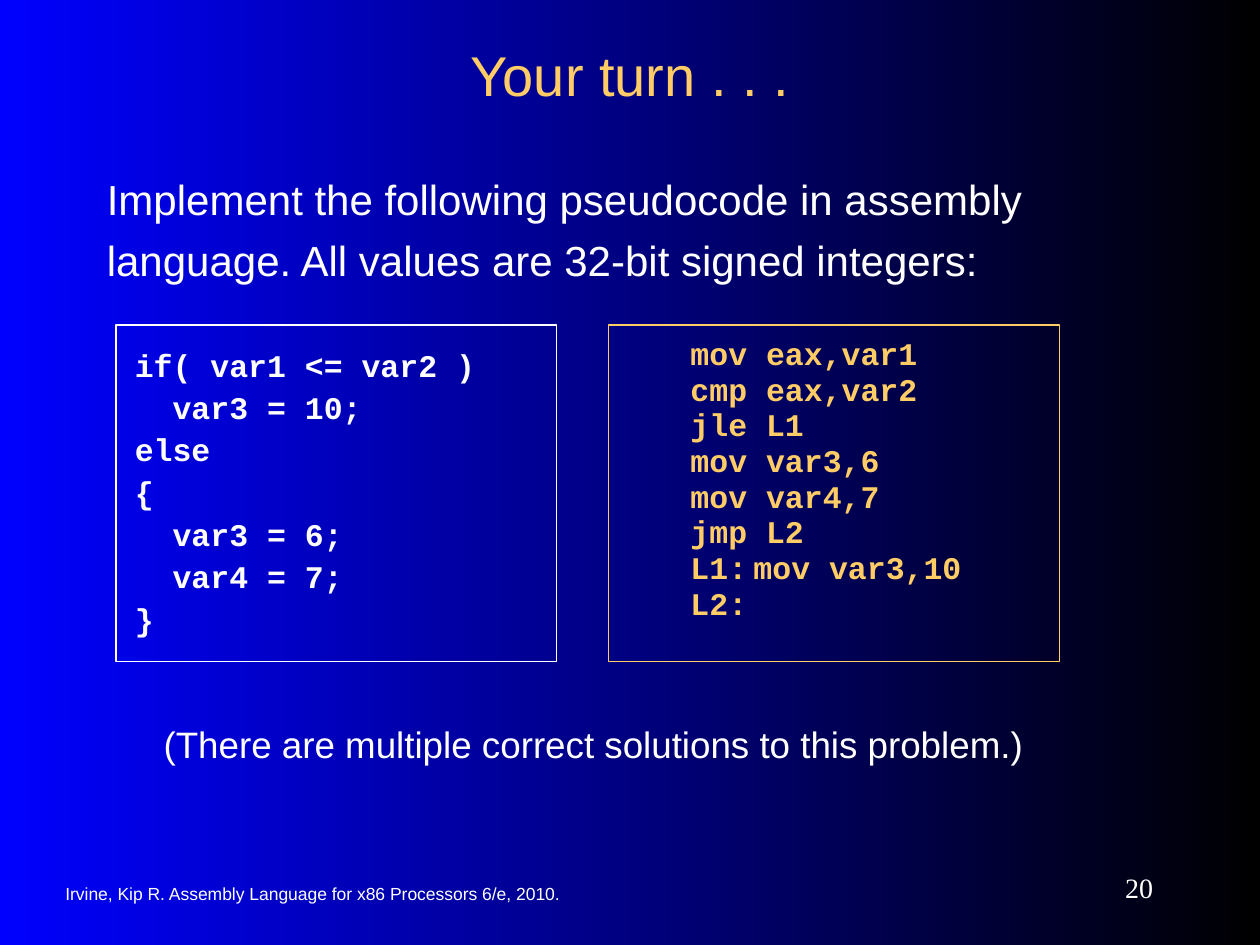
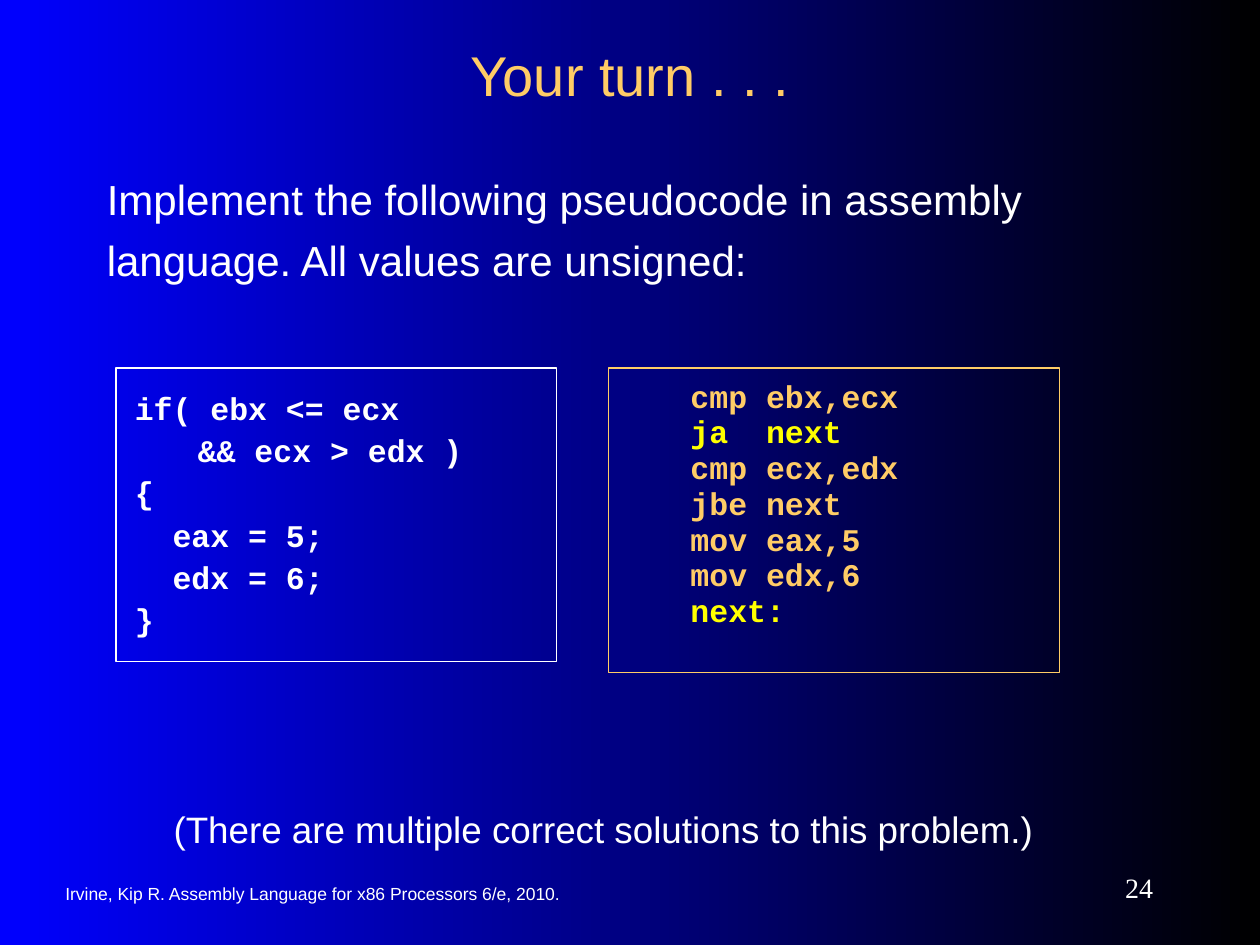
from lxml import etree
from pptx import Presentation
from pptx.dml.color import RGBColor
from pptx.enum.shapes import MSO_SHAPE
from pptx.enum.text import MSO_ANCHOR as ANCHOR, MSO_AUTO_SIZE as AUTO, PP_ALIGN as ALIGN
from pptx.oxml.ns import qn
from pptx.util import Inches, Pt

BLUE = RGBColor(0x00, 0x00, 0xFF)
BLACK = RGBColor(0x00, 0x00, 0x00)
WHITE = RGBColor(0xFF, 0xFF, 0xFF)
GOLD = RGBColor(0xFF, 0xCC, 0x66)
YELLOW = RGBColor(0xFF, 0xFF, 0x00)
FOOTER = "Irvine, Kip R. Assembly Language for x86 Processors 6/e, 2010."
NOTE = "(There are multiple correct solutions to this problem.)"
TASK = "Implement the following pseudocode in assembly language. All values are "

SLIDES = [
    {
        "number": "20",
        "values": "32-bit signed integers:",
        "top": 2.58, "pseudo_height": 2.67, "asm_height": 2.67,
        "note_at": (0.75, 5.58),
        "pseudo": ["if( var1 <= var2 )", "  var3 = 10;", "else", "{",
                   "  var3 = 6;", "  var4 = 7;", "}"],
        "asm": ["mov eax,var1", "cmp eax,var2", "jle L1", "mov var3,6",
                "mov var4,7", "jmp L2", "L1:\tmov var3,10", "L2:"],
        "marked": [],
    },
    {
        "number": "24",
        "values": "unsigned:",
        "top": 2.92, "pseudo_height": 2.33, "asm_height": 2.42,
        "note_at": (0.83, 6.25),
        "pseudo": ["if( ebx <= ecx", "\t&& ecx > edx )", "{",
                   "  eax = 5;", "  edx = 6;", "}"],
        "asm": ["cmp ebx,ecx", "ja  next", "cmp ecx,edx", "jbe next",
                "mov eax,5", "mov edx,6", "next:"],
        "marked": ["ja  next", "next:"],
    },
]


def write(sp, lines, size, color, font="Arial", align=ALIGN.LEFT, anchor=ANCHOR.TOP,
          inset=(0.1, 0.05), spacing=1.0, before=0, bold=False):
    tf = sp.text_frame
    tf.word_wrap = True
    tf.auto_size = AUTO.NONE
    tf.vertical_anchor = anchor
    tf.margin_left = tf.margin_right = Inches(inset[0])
    tf.margin_top = tf.margin_bottom = Inches(inset[1])
    tf.text = "\n".join(lines)
    for p in tf.paragraphs:
        p.alignment = align
        p.line_spacing = spacing
        p.space_before = Pt(before)
        p.font.name = font
        p.font.size = Pt(size)
        p.font.bold = bold
        p.font.color.rgb = color
    return tf.paragraphs


def code_box(slide, at, lines, color, spacing, before, indent=0):
    sp = slide.shapes.add_shape(MSO_SHAPE.RECTANGLE, *map(Inches, at))
    sp.shadow.inherit = False
    sp.fill.background()
    sp.line.color.rgb = color
    sp.line.width = Pt(0.75)
    paragraphs = write(sp, lines, 18, color, "Courier New", inset=(0.15, 0.2),
                       spacing=spacing, before=before, bold=True)
    for p in paragraphs:
        pPr = p._p.get_or_add_pPr()
        pPr.set("marL", str(Inches(indent)))
        pPr.set("indent", "0")
        tabs = etree.Element(qn("a:tabLst"))
        for stop in (0.5, 1):
            etree.SubElement(tabs, qn("a:tab"), pos=str(Inches(stop)), algn="l")
        pPr.find(qn("a:defRPr")).addprevious(tabs)
    return paragraphs


prs = Presentation()
prs.slide_width, prs.slide_height = Inches(10), Inches(7.5)
background = prs.slide_master.background.fill
background.gradient()
background.gradient_angle = 0
for stop, color, position in zip(background.gradient_stops, (BLUE, BLACK), (0, 1)):
    stop.color.rgb = color
    stop.position = position

for data in SLIDES:
    slide = prs.slides.add_slide(prs.slide_layouts[5])
    shapes = slide.shapes

    sp = shapes.add_textbox(Inches(0.42), Inches(6.93), Inches(5.17), Inches(0.33))
    write(sp, [FOOTER], 10, WHITE, anchor=ANCHOR.MIDDLE)
    sp = shapes.add_textbox(Inches(8.17), Inches(6.83), Inches(1.08), Inches(0.42))
    write(sp, [data["number"]], 16, WHITE, "Times New Roman", ALIGN.RIGHT, ANCHOR.MIDDLE)

    title = shapes.title
    title.left, title.top = Inches(0.75), Inches(0.25)
    title.width, title.height = Inches(8.5), Inches(0.67)
    write(title, ["Your turn . . ."], 32, GOLD, align=ALIGN.CENTER, anchor=ANCHOR.MIDDLE)

    sp = shapes.add_textbox(Inches(0.75), Inches(1.25), Inches(8.5), Inches(1.33))
    write(sp, [TASK + data["values"]], 24, WHITE, spacing=1.2, before=6)

    asm = code_box(slide, (4.83, data["top"], 3.58, data["asm_height"]), data["asm"],
                   GOLD, 0.5, 9.6, indent=0.5)
    for p in asm:
        if p.text in data["marked"]:
            p.font.color.rgb = YELLOW
    code_box(slide, (0.92, data["top"], 3.5, data["pseudo_height"]), data["pseudo"],
             WHITE, 0.9, 4.7)

    left, top = data["note_at"]
    sp = shapes.add_textbox(Inches(left), Inches(top), Inches(7.92), Inches(0.65))
    write(sp, [NOTE], 21, WHITE, align=ALIGN.CENTER, inset=(0.1, 0.15), before=11)

prs.save("out.pptx")
